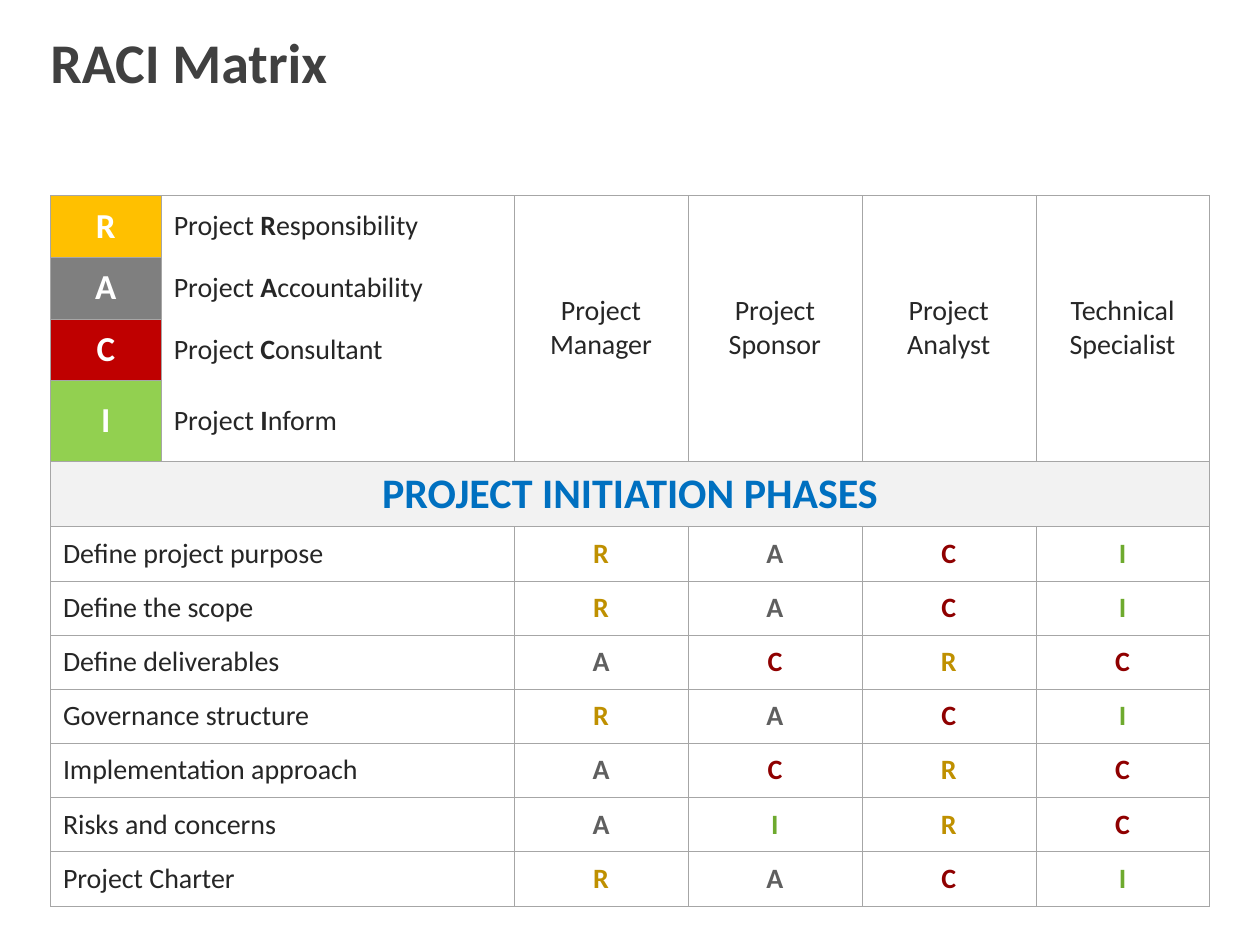
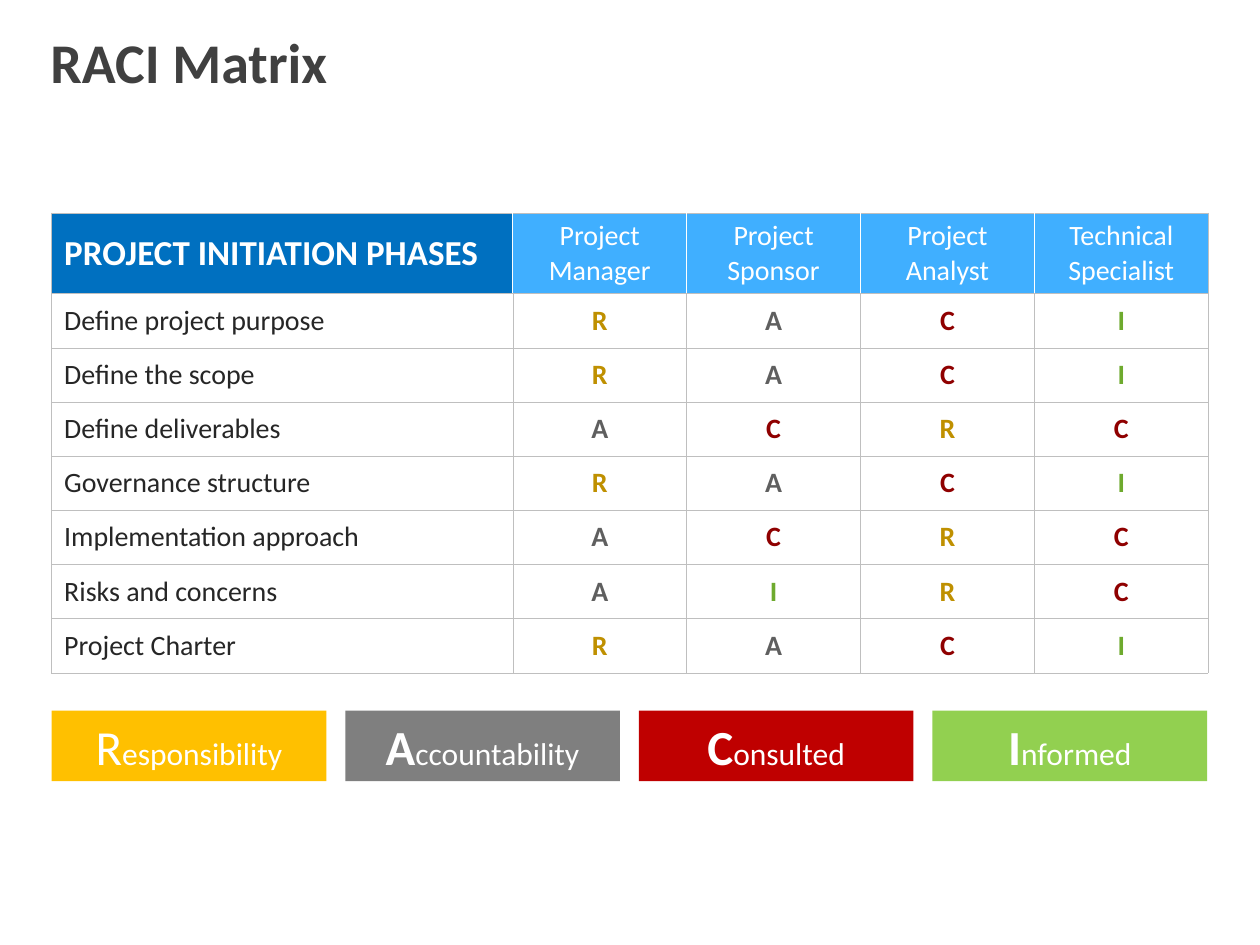
from lxml import etree
from pptx import Presentation
from pptx.dml.color import RGBColor
from pptx.enum.shapes import MSO_SHAPE
from pptx.enum.text import MSO_ANCHOR, PP_ALIGN
from pptx.oxml.ns import qn
from pptx.util import Inches, Pt

# Shared style
FONT = "Calibri"
WHITE, INK, TITLE_INK = "FFFFFF", "262626", "404040"
BLUE, SKY, PALE = "0070C0", "40AFFF", "F2F2F2"
FILLS = {"R": "FFC000", "A": "7F7F7F", "C": "BF0000", "I": "92D050"}
LETTER_INKS = {"R": "BF9000", "A": "5F5F5F", "C": "8F0000", "I": "6EAA2E"}
ROW_H, ROLE_W, ROLE_HEAD_H = 0.43, 1.38, 0.64

# Content
HEADING = "PROJECT INITIATION PHASES"
ROLES = ["Project Manager", "Project Sponsor", "Project Analyst", "Technical Specialist"]
TASKS = [
    ("Define project purpose", "RACI"),
    ("Define the scope", "RACI"),
    ("Define deliverables", "ACRC"),
    ("Governance structure", "RACI"),
    ("Implementation approach", "ACRC"),
    ("Risks and concerns", "AIRC"),
    ("Project Charter", "RACI"),
]
DUTIES = ["Responsibility", "Accountability", "Consultant", "Inform"]
LEGEND = ["Responsibility", "Accountability", "Consulted", "Informed"]


def rgb(color):
    return RGBColor.from_string(color)


def write(p, text, size=16, color=INK, bold=False, align=PP_ALIGN.LEFT):
    """Fill a paragraph with one run of text in one style."""
    p.alignment = align
    p.font.name, p.font.size, p.font.bold = FONT, Pt(size), bold
    p.font.color.rgb = rgb(color)
    return add_run(p, text)


def add_run(p, text, size=None, bold=None):
    r = p.add_run()
    r.text = text
    if size:
        r.font.size = Pt(size)
    r.font.bold = bold
    return r


def add_title(slide, text):
    tf = slide.shapes.add_textbox(Inches(0.4), Inches(0.28), Inches(9.2), Inches(0.48)).text_frame
    tf.word_wrap = True
    tf.margin_left = tf.margin_right = tf.margin_top = tf.margin_bottom = 0
    p = tf.paragraphs[0]
    p.line_spacing = 0.9
    write(p, text, 32, TITLE_INK, True)


# Tables
def add_table(slide, left, top, widths, heights, line):
    """Add a plain white table with thin lines round every cell."""
    table = slide.shapes.add_table(
        len(heights), len(widths), Inches(left), Inches(top),
        Inches(sum(widths)), Inches(sum(heights))).table
    table.first_row = table.horz_banding = False
    for col, width in zip(table.columns, widths):
        col.width = Inches(width)
    for row, height in zip(table.rows, heights):
        row.height = Inches(height)
    for cell in table.iter_cells():
        for side in "LRTB":
            set_border(cell, side, line)
        set_fill(cell, WHITE)
        cell.vertical_anchor = MSO_ANCHOR.MIDDLE
    return table


def set_border(cell, side, color, width=0.25):
    """Draw one side of a cell, or clear it when color is None."""
    tc_pr = cell._tc.get_or_add_tcPr()
    ln = tc_pr.find(qn(f"a:ln{side}"))
    if ln is None:
        ln = etree.SubElement(tc_pr, qn(f"a:ln{side}"))
    for child in list(ln):
        ln.remove(child)
    ln.set("w", str(Pt(width)))
    if color is None:
        etree.SubElement(ln, qn("a:noFill"))
    else:
        fill = etree.SubElement(ln, qn("a:solidFill"))
        etree.SubElement(fill, qn("a:srgbClr")).set("val", color)


def set_fill(item, color):
    item.fill.solid()
    item.fill.fore_color.rgb = rgb(color)


def write_cell(cell, text, size=16, color=INK, bold=False, align=PP_ALIGN.CENTER):
    write(cell.text_frame.paragraphs[0], text, size, color, bold, align)


def write_tasks(table, first_row, first_role):
    """Fill the task rows; names span all columns before the roles."""
    for row, (task, letters) in enumerate(TASKS, first_row):
        name = table.cell(row, 0)
        if first_role > 1:
            name.merge(table.cell(row, first_role - 1))
        write_cell(name, task, align=PP_ALIGN.LEFT)
        for col, letter in enumerate(letters, first_role):
            write_cell(table.cell(row, col), letter, color=LETTER_INKS[letter], bold=True)


# Slides
def add_matrix_with_key(slide):
    add_title(slide, "RACI Matrix")
    heights = [0.49] * 3 + [ROLE_HEAD_H, 0.52] + [ROW_H] * len(TASKS)
    table = add_table(slide, 0.4, 1.55, [0.88, 2.8] + [ROLE_W] * 4, heights, "A6A6A6")

    # Key to the letters
    last = len(DUTIES) - 1
    for row, duty in enumerate(DUTIES):
        letter, label = table.cell(row, 0), table.cell(row, 1)
        set_fill(letter, FILLS[duty[0]])
        write_cell(letter, duty[0], 20, WHITE, True)
        p = label.text_frame.paragraphs[0]
        write(p, "Project ")
        add_run(p, duty[0], bold=True)
        add_run(p, duty[1:])
        if row > 0:
            set_border(label, "T", None)
        if row < last:
            set_border(label, "B", None)

    # Roles and section band
    for col, role in enumerate(ROLES, 2):
        table.cell(0, col).merge(table.cell(last, col))
        write_cell(table.cell(0, col), role)
    band = table.cell(last + 1, 0)
    band.merge(table.cell(last + 1, 5))
    set_fill(band, PALE)
    write_cell(band, HEADING, 24, BLUE, True)

    write_tasks(table, last + 2, 2)


def add_legend_box(slide, left, word, bold):
    sp = slide.shapes.add_shape(
        MSO_SHAPE.RECTANGLE, Inches(left), Inches(5.64), Inches(2.18), Inches(0.56))
    sp.shadow.inherit = False
    set_fill(sp, FILLS[word[0]])
    sp.line.fill.background()
    tf = sp.text_frame
    tf.vertical_anchor = MSO_ANCHOR.MIDDLE
    p = tf.paragraphs[0]
    r = write(p, word[0], 18, WHITE, align=PP_ALIGN.CENTER)
    r.font.size, r.font.bold = Pt(28), bold
    add_run(p, word[1:])


def add_matrix_with_legend(slide):
    add_title(slide, "RACI Matrix")
    heights = [ROLE_HEAD_H] + [ROW_H] * len(TASKS)
    table = add_table(slide, 0.41, 1.69, [3.66] + [ROLE_W] * 4, heights, "BFBFBF")

    # Header row, parted by white lines
    for col, text in enumerate([HEADING] + ROLES):
        cell = table.cell(0, col)
        set_fill(cell, SKY if col else BLUE)
        if col:
            set_border(cell, "L", WHITE, 0.5)
            write_cell(cell, text, color=WHITE)
        else:
            write_cell(cell, text, 20, WHITE, True, PP_ALIGN.LEFT)
        if col < len(ROLES):
            set_border(cell, "R", WHITE, 0.5)

    write_tasks(table, 1, 1)

    # Legend
    for i, word in enumerate(LEGEND):
        add_legend_box(slide, 0.41 + i * 2.33, word, bold=i > 0)


def main():
    prs = Presentation()
    prs.slide_width, prs.slide_height = Inches(10), Inches(7.5)
    blank = prs.slide_layouts[6]
    for build in (add_matrix_with_key, add_matrix_with_legend):
        build(prs.slides.add_slide(blank))
    prs.save("out.pptx")


if __name__ == "__main__":
    main()
